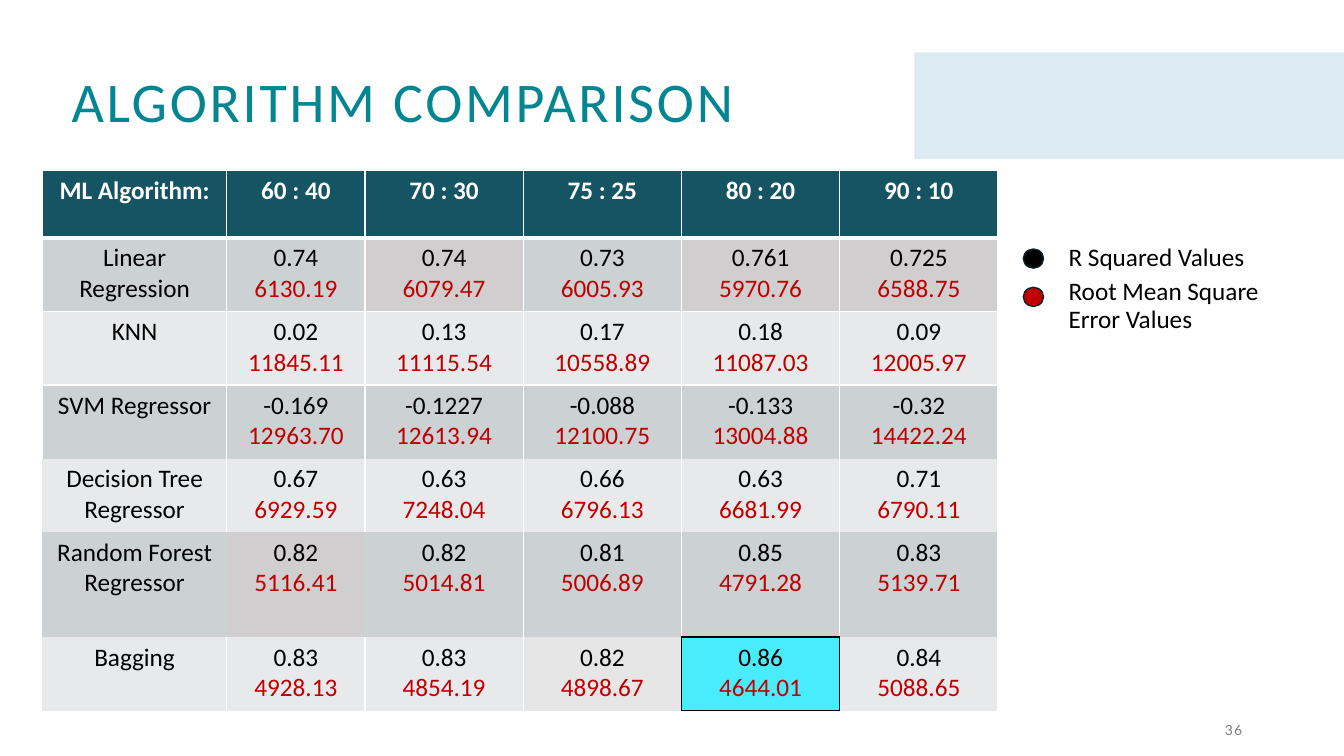
"""Build the slide that compares regression algorithms across train and test splits."""
from typing import NamedTuple, Optional

from lxml import etree
from pptx import Presentation
from pptx import slide as sl
from pptx import table as tb
from pptx import util as u
from pptx.dml import color as dml
from pptx.enum import shapes, text
from pptx.oxml import ns
from pptx.text import text as tx

PX = 9144
COLORS = {
    "title": "038692", "header": "155463", "band": "DCEAF1",
    "dark row": "CCD1D3", "light row": "E8E9EA", "warm dark": "D0CECE",
    "warm light": "E7E6E6", "best": "48ECFB", "white": "FFFFFF",
    "black": "000000", "red": "C00000", "dot line": "09252B", "grey": "808080",
}
BODY_FONT = "Calibri"
BODY_SIZE = 18


class Area(NamedTuple):
    left: int
    top: int
    width: int
    height: int


class Edge(NamedTuple):
    color: str
    points: int


class Result(NamedTuple):
    algorithm: str
    r_squared: tuple[str, ...]
    rmse: tuple[str, ...]


class LegendItem(NamedTuple):
    label: str
    color: str
    dot: Area


SPLITS = ("60 : 40", "70 : 30", "75 : 25", "80 : 20", "90 : 10")
RESULTS = (
    Result("Linear Regression", ("0.74", "0.74", "0.73", "0.761", "0.725"),
           ("6130.19", "6079.47", "6005.93", "5970.76", "6588.75")),
    Result("KNN", ("0.02", "0.13", "0.17", "0.18", "0.09"),
           ("11845.11", "11115.54", "10558.89", "11087.03", "12005.97")),
    Result("SVM Regressor", ("-0.169", "-0.1227", "-0.088", "-0.133", "-0.32"),
           ("12963.70", "12613.94", "12100.75", "13004.88", "14422.24")),
    Result("Decision Tree Regressor", ("0.67", "0.63", "0.66", "0.63", "0.71"),
           ("6929.59", "7248.04", "6796.13", "6681.99", "6790.11")),
    Result("Random Forest Regressor", ("0.82", "0.82", "0.81", "0.85", "0.83"),
           ("5116.41", "5014.81", "5006.89", "4791.28", "5139.71")),
    Result("Bagging", ("0.83", "0.83", "0.82", "0.86", "0.84"),
           ("4928.13", "4854.19", "4898.67", "4644.01", "5088.65")),
)
LEGEND = (
    LegendItem("R Squared Values", "black", Area(1015, 247, 20, 19)),
    LegendItem("Root Mean Square Error Values", "red", Area(1015, 285, 20, 19)),
)
COLUMN_WIDTHS = (183, 137, 157, 157, 157, 157)
ROW_HEIGHTS = (67, 73, 73, 73, 73, 104, 73)
BEST_ROW, BEST_COLUMN = 6, 4
SPECIAL_FILLS = {
    (1, 2): "warm dark", (1, 4): "warm dark", (1, 5): "warm dark",
    (5, 1): "warm dark", (6, 3): "warm light", (BEST_ROW, BEST_COLUMN): "best",
}


def rgb(name: str) -> dml.RGBColor:
    return dml.RGBColor.from_string(COLORS[name])


def emu(area: Area) -> tuple[int, ...]:
    return tuple(length * PX for length in area)


def style(para: tx._Paragraph, color: str, size: int = BODY_SIZE,
          font: str = BODY_FONT, bold: bool = False, spacing: int = 0) -> None:
    for span in para.runs:
        span.font.name = font
        span.font.size = u.Pt(size)
        span.font.bold = bold
        span.font.color.rgb = rgb(color)
        if spacing:
            span._r.get_or_add_rPr().set("spc", str(spacing * 100))


def add_plain_shape(page: sl.Slide, kind: shapes.MSO_SHAPE, area: Area,
                    fill: str, line: Optional[str] = None) -> None:
    shape = page.shapes.add_shape(kind, *emu(area))
    shape.shadow.inherit = False
    shape.fill.solid()
    shape.fill.fore_color.rgb = rgb(fill)
    if line:
        shape.line.color.rgb = rgb(line)
        shape.line.width = u.Pt(1)
    else:
        shape.line.fill.background()


def add_text(page: sl.Slide, area: Area, content: str) -> tx.TextFrame:
    frame = page.shapes.add_textbox(*emu(area)).text_frame
    frame.word_wrap = True
    frame.text = content
    return frame


def set_title(page: sl.Slide) -> None:
    title = page.shapes.title
    title.left, title.top, title.width, title.height = emu(Area(61, 69, 1211, 73))
    frame = title.text_frame
    frame.text = "ALGORITHM COMPARISON"
    frame.auto_size = text.MSO_AUTO_SIZE.NONE
    frame.vertical_anchor = text.MSO_ANCHOR.MIDDLE
    para = frame.paragraphs[0]
    para.alignment = text.PP_ALIGN.LEFT
    para.line_spacing = 0.8
    style(para, "title", size=40, spacing=2)


def vertical_edge(row: int, boundary: int) -> Optional[Edge]:
    if row == BEST_ROW and boundary in (BEST_COLUMN, BEST_COLUMN + 1):
        return Edge("black", 1)
    if (row == 5 and boundary < 3) or (row > 3 and boundary == 0):
        return None
    return Edge("white", 1)


def horizontal_edge(boundary: int, column: int) -> Optional[Edge]:
    if column == BEST_COLUMN and boundary in (BEST_ROW, BEST_ROW + 1):
        return Edge("black", 1)
    if boundary > 3:
        return None
    return Edge("white", 3 if boundary == 1 else 1)


def set_borders(cell: tb._Cell, row: int, column: int) -> None:
    edges = {
        "a:lnL": vertical_edge(row, column),
        "a:lnR": vertical_edge(row, column + 1),
        "a:lnT": horizontal_edge(row, column),
        "a:lnB": horizontal_edge(row + 1, column),
    }
    properties = cell._tc.get_or_add_tcPr()
    for tag, edge in edges.items():
        line = etree.SubElement(properties, ns.qn(tag))
        if edge is None:
            etree.SubElement(line, ns.qn("a:noFill"))
            continue
        line.set("w", str(u.Pt(edge.points)))
        fill = etree.SubElement(line, ns.qn("a:solidFill"))
        etree.SubElement(fill, ns.qn("a:srgbClr"), val=COLORS[edge.color])


def fill_name(row: int, column: int) -> str:
    if row == 0:
        return "header"
    return SPECIAL_FILLS.get((row, column), "dark row" if row % 2 else "light row")


def add_results_table(page: sl.Slide) -> None:
    area = Area(42, 169, sum(COLUMN_WIDTHS), sum(ROW_HEIGHTS))
    table = page.shapes.add_table(len(ROW_HEIGHTS), len(COLUMN_WIDTHS), *emu(area)).table
    table.horz_banding = False
    for column, width in zip(table.columns, COLUMN_WIDTHS):
        column.width = width * PX
    for table_row, height in zip(table.rows, ROW_HEIGHTS):
        table_row.height = height * PX
    grid = [("ML Algorithm:", *SPLITS)]
    for result in RESULTS:
        scores = zip(result.r_squared, result.rmse)
        grid.append((result.algorithm, *("\n".join(pair) for pair in scores)))
    for row, contents in enumerate(grid):
        for column, content in enumerate(contents):
            cell = table.cell(row, column)
            set_borders(cell, row, column)
            cell.fill.solid()
            cell.fill.fore_color.rgb = rgb(fill_name(row, column))
            cell.text_frame.text = content
            for para, color in zip(cell.text_frame.paragraphs, ("black", "red")):
                para.alignment = text.PP_ALIGN.CENTER
                style(para, color if row else "white", bold=row == 0)


def add_legend(page: sl.Slide) -> None:
    labels = "\n".join(item.label for item in LEGEND)
    frame = add_text(page, Area(1050, 238, 265, 100), labels)
    for index, (para, item) in enumerate(zip(frame.paragraphs, LEGEND)):
        para.line_spacing = 0.9
        para.space_before = u.Pt(5 if index else 0)
        style(para, "black")
        add_plain_shape(page, shapes.MSO_SHAPE.OVAL, item.dot, item.color, "dot line")


def add_page_number(page: sl.Slide) -> None:
    frame = add_text(page, Area(942, 713, 300, 22), "36")
    frame.vertical_anchor = text.MSO_ANCHOR.MIDDLE
    frame.paragraphs[0].alignment = text.PP_ALIGN.RIGHT
    style(frame.paragraphs[0], "grey", size=10, font="Lato", spacing=1)


def main() -> None:
    deck = Presentation()
    deck.slide_width, deck.slide_height = 1333 * PX, 750 * PX
    page = deck.slides.add_slide(deck.slide_layouts.get_by_name("Title Only"))
    add_plain_shape(page, shapes.MSO_SHAPE.RECTANGLE, Area(907, 52, 426, 106), "band")
    set_title(page)
    add_legend(page)
    add_results_table(page)
    add_page_number(page)
    deck.save("out.pptx")


if __name__ == "__main__":
    main()
